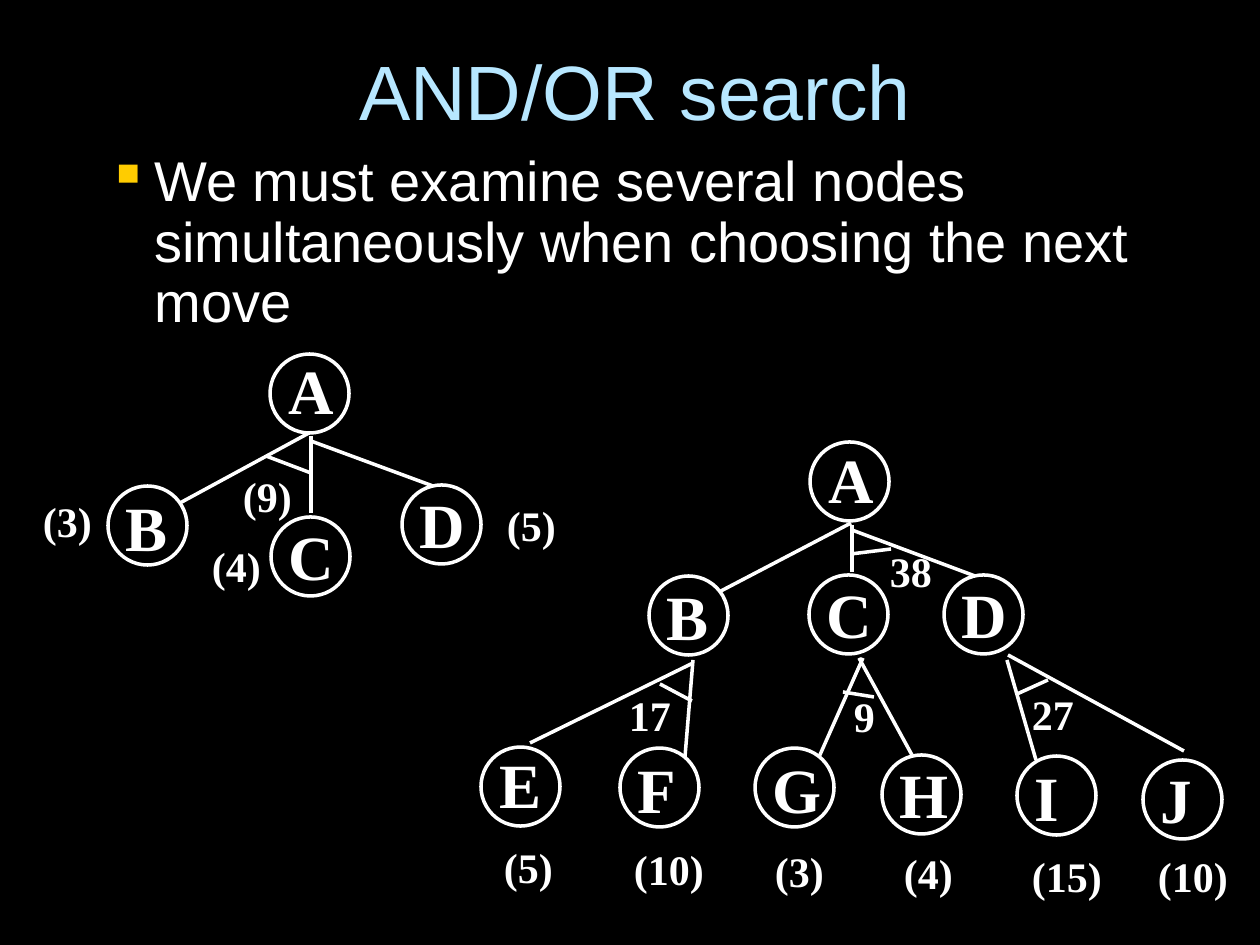
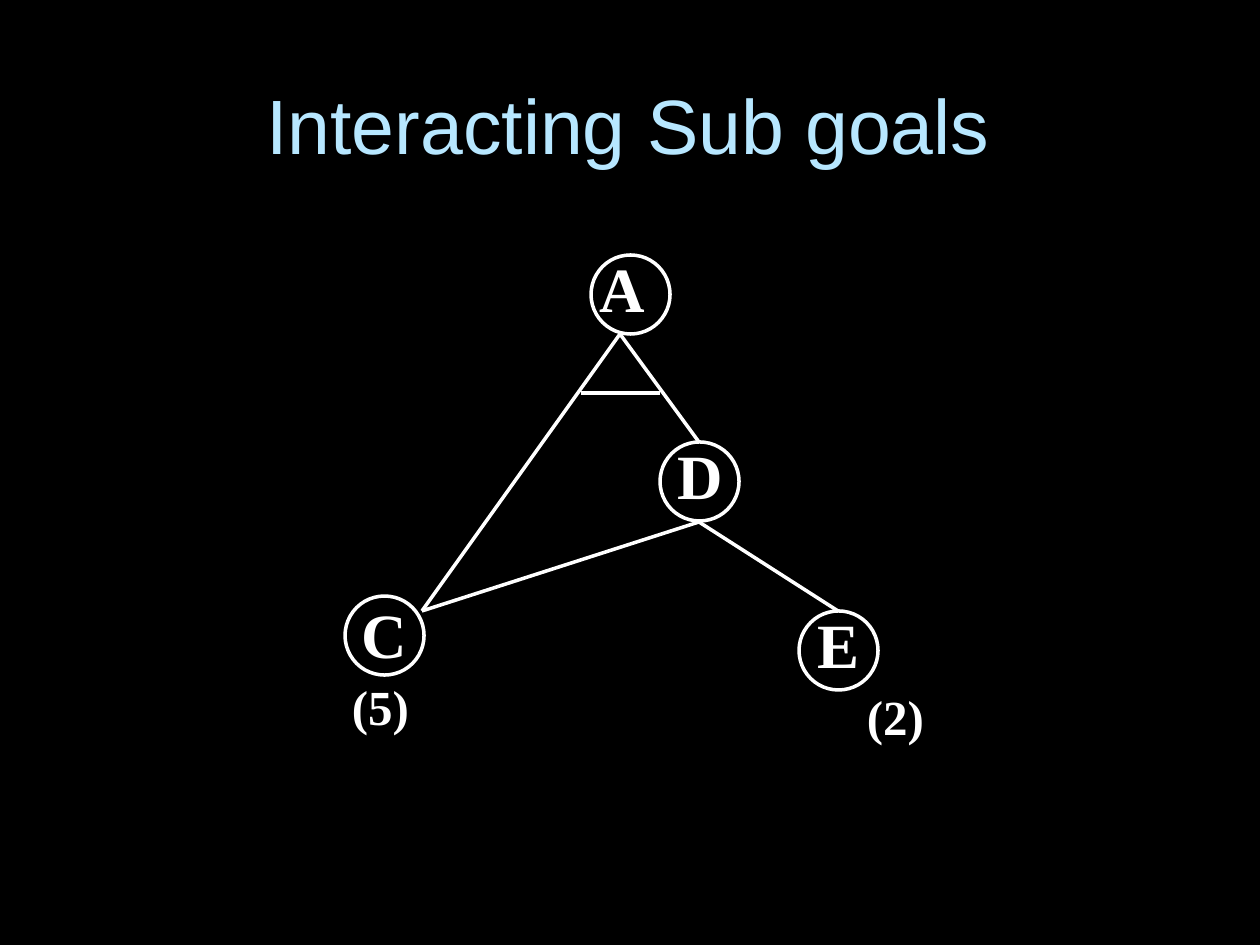
"""Build two slides of AND/OR search graphs."""
from dataclasses import dataclass

from pptx import Presentation
from pptx.dml.color import RGBColor
from pptx.enum.shapes import MSO_CONNECTOR, MSO_SHAPE
from pptx.enum.text import MSO_ANCHOR, MSO_AUTO_SIZE, PP_ALIGN
from pptx.oxml import parse_xml
from pptx.oxml.ns import nsdecls
from pptx.shapes.shapetree import GroupShapes
from pptx.slide import Slide
from pptx.text.text import _Paragraph
from pptx.util import Emu, Pt

OVAL = MSO_SHAPE.OVAL
STRAIGHT = MSO_CONNECTOR.STRAIGHT
CENTER = PP_ALIGN.CENTER
MIDDLE = MSO_ANCHOR.MIDDLE
GROW = MSO_AUTO_SIZE.SHAPE_TO_FIT_TEXT

BLACK = RGBColor(0x00, 0x00, 0x00)
WHITE = RGBColor(0xFF, 0xFF, 0xFF)
SKY = RGBColor(0xB7, 0xE7, 0xFF)
GOLD = RGBColor(0xFF, 0xCC, 0x00)

PX_PER_INCH = 126
DIAMETER = 79
INSET_X = 9
INSET_Y = 4
INDENT = 47
STROKE = Pt(2)
SANS = "Arial"
SERIF = "Times New Roman"
TITLE_ONLY = 5
EM_WIDTHS = dict(A=722, B=667, C=722, D=722, E=667, F=611, G=778, H=778, I=389, J=500)
EM_WIDTHS.update({"(": 333, ")": 333})
DIGIT_WIDTH = 500


@dataclass(frozen=True)
class Lettering:
    size: int
    height: int
    spacing: float


LETTER = Lettering(36, 73, 0.88)
COST = Lettering(24, 50, 0.85)
LARGE_COST = Lettering(28, 59, 0.88)


@dataclass(frozen=True)
class Node:
    letter: str
    left: int
    top: int
    shift_x: int = 9
    shift_y: int = 6


@dataclass(frozen=True)
class Edge:
    x1: int
    y1: int
    x2: int
    y2: int


@dataclass(frozen=True)
class Cost:
    text: str
    left: int
    top: int


@dataclass(frozen=True)
class Graph:
    nodes: tuple[Node, ...]
    edges: tuple[Edge, ...]
    costs: tuple[Cost, ...]
    lettering: Lettering = COST


EXPANDED_GRAPH = Graph(
    nodes=(
        Node("A", 810, 442, 10, 4),
        Node("B", 649, 576, 9, 7),
        Node("C", 809, 575),
        Node("D", 944, 575),
        Node("E", 481, 747, 10, 4),
        Node("F", 620, 748, 9, 8),
        Node("G", 755, 748, 9, 8),
        Node("H", 882, 755),
        Node("I", 1017, 756, 9, 8),
        Node("J", 1143, 760),
    ),
    edges=(
        Edge(852, 525, 852, 572),
        Edge(851, 523, 721, 591),
        Edge(852, 530, 975, 576),
        Edge(851, 554, 891, 549),
        Edge(693, 663, 530, 743),
        Edge(693, 660, 685, 757),
        Edge(660, 684, 692, 701),
        Edge(863, 658, 819, 757),
        Edge(859, 658, 912, 755),
        Edge(843, 692, 874, 697),
        Edge(1007, 660, 1036, 760),
        Edge(1008, 655, 1184, 751),
        Edge(1017, 694, 1048, 680),
    ),
    costs=(
        Cost("38", 881, 549),
        Cost("17", 620, 693),
        Cost("9", 845, 694),
        Cost("27", 1023, 692),
        Cost("(5)", 495, 845),
        Cost("(10)", 625, 847),
        Cost("(3)", 766, 849),
        Cost("(4)", 895, 851),
        Cost("(15)", 1023, 854),
        Cost("(10)", 1149, 854),
    ),
)
START_GRAPH = Graph(
    nodes=(
        Node("A", 270, 354, 10, 3),
        Node("B", 108, 486, 9, 8),
        Node("C", 271, 517),
        Node("D", 402, 485),
    ),
    edges=(
        Edge(311, 436, 311, 513),
        Edge(309, 433, 180, 503),
        Edge(311, 441, 433, 486),
        Edge(266, 456, 311, 473),
    ),
    costs=(
        Cost("(3)", 34, 499),
        Cost("(4)", 203, 544),
        Cost("(5)", 498, 503),
        Cost("(9)", 234, 474),
    ),
)
SUBGOAL_GRAPH = Graph(
    nodes=(
        Node("A", 591, 255, 0, 0),
        Node("C", 345, 596, 8, 5),
        Node("D", 660, 442, 9, 0),
        Node("E", 799, 611, 10, 0),
    ),
    edges=(
        Edge(620, 334, 699, 442),
        Edge(620, 334, 422, 611),
        Edge(699, 522, 838, 611),
        Edge(699, 522, 422, 611),
        Edge(660, 393, 581, 393),
    ),
    costs=(Cost("(2)", 858, 690), Cost("(5)", 343, 680)),
    lettering=LARGE_COST,
)


def px(length: float) -> Emu:
    return Emu(round(length * 914400 / PX_PER_INCH))


def add_span(para: _Paragraph, text: str, font: str, size: int,
             color: RGBColor, bold: bool = False) -> None:
    span = para.add_run()
    span.text = text
    span.font.name = font
    span.font.size = Pt(size)
    span.font.bold = bold
    span.font.color.rgb = color


def text_width(text: str, size: int) -> float:
    ems = sum(EM_WIDTHS.get(glyph, DIGIT_WIDTH) for glyph in text) / 1000
    return 2 * INSET_X + ems * size * PX_PER_INCH / 72


def add_label(shapes: GroupShapes, text: str, left: int, top: int, style: Lettering) -> None:
    width = text_width(text, style.size)
    box = shapes.add_textbox(px(left), px(top), px(width), px(style.height))
    frame = box.text_frame
    frame.word_wrap = False
    frame.auto_size = GROW
    frame.margin_left = frame.margin_right = px(INSET_X)
    frame.margin_top = frame.margin_bottom = px(INSET_Y)
    para = frame.paragraphs[0]
    para.line_spacing = style.spacing
    add_span(para, text, SERIF, style.size, WHITE, bold=True)


def add_node(shapes: GroupShapes, node: Node) -> None:
    circle = shapes.add_shape(OVAL, px(node.left), px(node.top), px(DIAMETER), px(DIAMETER))
    circle.shadow.inherit = False
    circle.fill.background()
    circle.line.color.rgb = WHITE
    circle.line.width = STROKE
    add_label(shapes, node.letter, node.left + node.shift_x, node.top + node.shift_y, LETTER)


def add_edge(shapes: GroupShapes, edge: Edge) -> None:
    line = shapes.add_connector(STRAIGHT, px(edge.x1), px(edge.y1), px(edge.x2), px(edge.y2))
    line.line.color.rgb = WHITE
    line.line.width = STROKE
    line._element.spPr.append(parse_xml(f"<a:effectLst {nsdecls('a')}/>"))


def add_graph(page: Slide, graph: Graph) -> None:
    shapes = page.shapes.add_group_shape().shapes
    for node in graph.nodes:
        add_node(shapes, node)
    for edge in graph.edges:
        add_edge(shapes, edge)
    for cost in graph.costs:
        add_label(shapes, cost.text, cost.left, cost.top, graph.lettering)


def add_page(deck: Presentation, title: str, left: int, top: int,
             width: int, height: int) -> Slide:
    page = deck.slides.add_slide(deck.slide_layouts[TITLE_ONLY])
    box = page.shapes.title
    box.left, box.top, box.width, box.height = map(px, (left, top, width, height))
    box.text_frame.vertical_anchor = MIDDLE
    para = box.text_frame.paragraphs[0]
    para.alignment = CENTER
    add_span(para, title, SANS, 44, SKY)
    return page


def add_bullet(page: Slide, text: str, left: int, top: int, width: int, height: int) -> None:
    box = page.shapes.add_textbox(px(left), px(top), px(width), px(height))
    box.text_frame.word_wrap = True
    para = box.text_frame.paragraphs[0]
    para.line_spacing = 0.9
    para.space_before = Pt(8)
    properties = para._p.get_or_add_pPr()
    properties.set("marL", str(px(INDENT)))
    properties.set("indent", str(-px(INDENT)))
    properties.append(parse_xml(
        f'<a:buClr {nsdecls("a")}><a:srgbClr val="{GOLD}"/></a:buClr>'))
    properties.append(parse_xml(f'<a:buChar {nsdecls("a")} char="▪"/>'))
    add_span(para, text, SANS, 32, WHITE)


def main() -> None:
    deck = Presentation()
    deck.slide_width, deck.slide_height = px(1260), px(945)
    backdrop = deck.slide_master.background.fill
    backdrop.solid()
    backdrop.fore_color.rgb = BLACK

    search = add_page(deck, "AND/OR search ", 84, 32, 1124, 116)
    add_bullet(search, "We must examine several nodes simultaneously when choosing the next move",
               95, 147, 1103, 197)
    add_graph(search, EXPANDED_GRAPH)
    add_graph(search, START_GRAPH)

    subgoals = add_page(deck, "Interacting Sub goals", 42, 32, 1173, 183)
    add_graph(subgoals, SUBGOAL_GRAPH)

    deck.save("out.pptx")


if __name__ == "__main__":
    main()
